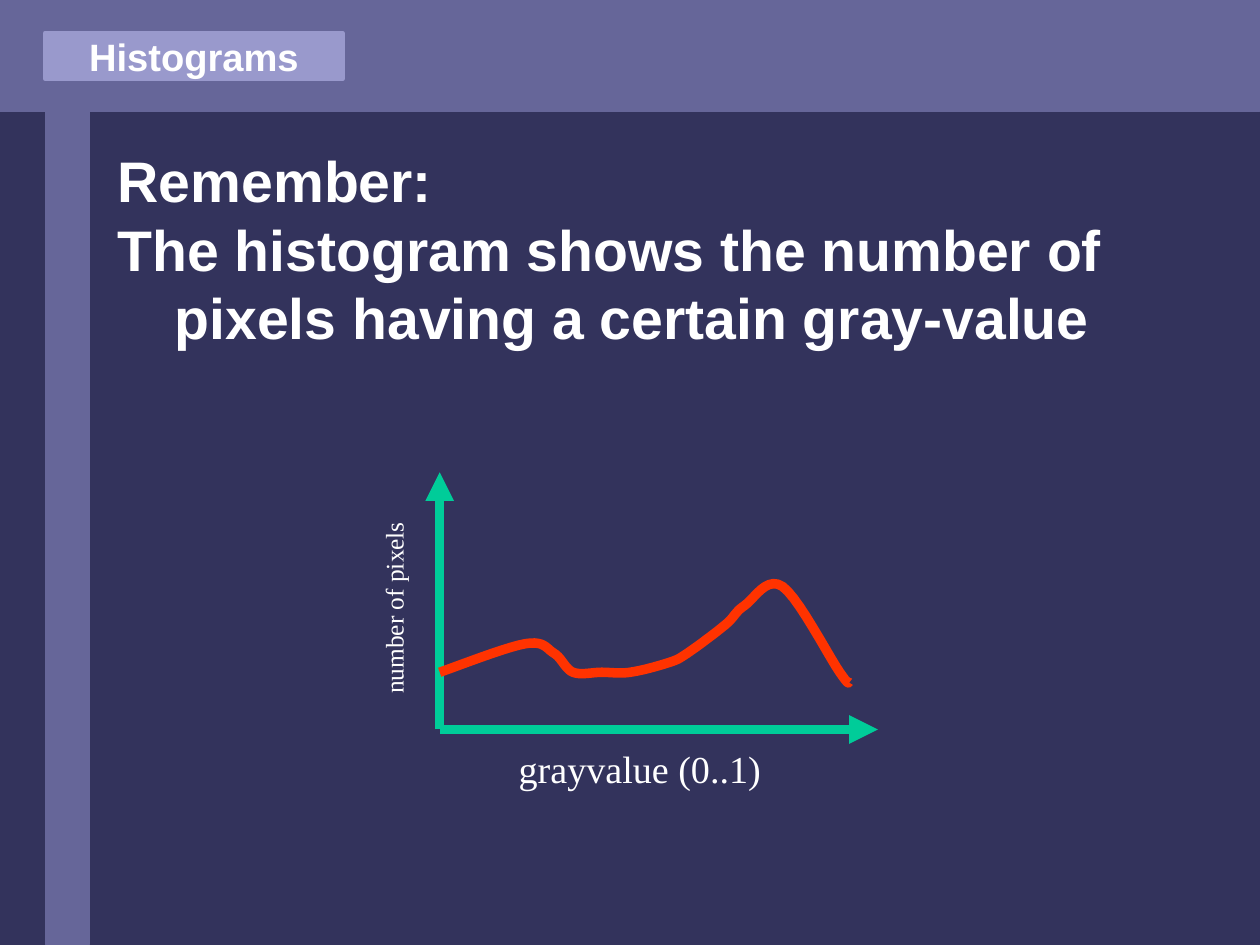
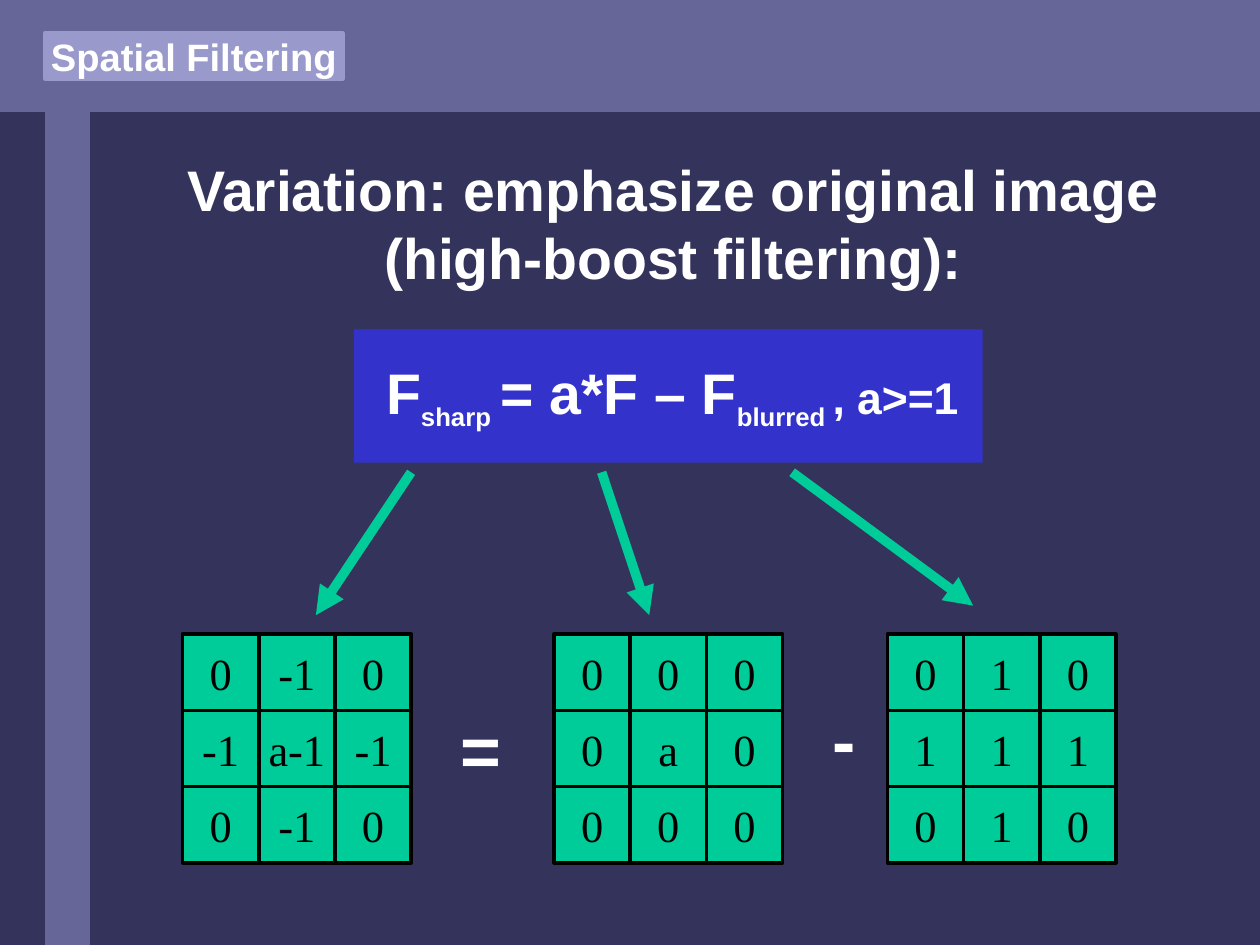
from lxml import etree
from pptx import Presentation
from pptx.dml.color import RGBColor
from pptx.enum.shapes import MSO_CONNECTOR, MSO_SHAPE
from pptx.enum.text import MSO_ANCHOR, PP_ALIGN
from pptx.oxml.ns import qn
from pptx.util import Pt

RECT, STRAIGHT = MSO_SHAPE.RECTANGLE, MSO_CONNECTOR.STRAIGHT
TOP, MIDDLE = MSO_ANCHOR.TOP, MSO_ANCHOR.MIDDLE
LEFT, CENTER = PP_ALIGN.LEFT, PP_ALIGN.CENTER

SLIDE_W, SLIDE_H = 793.7, 595.28
NAVY, SLATE, LILAC = "33335C", "666699", "9999CC"
GREEN, BLUE, ORANGE = "00CC99", "3333CC", "FF3300"
WHITE, BLACK = "FFFFFF", "000000"
SANS, SERIF = "Arial", "Times New Roman"
INSETS = (7.2, 3.6, 7.2, 3.6)
CELL = 48
CURVE = [(0, 36), (54, 54), (72, 48), (84, 36), (102, 36), (120, 36), (144, 42),
         (156, 48), (180, 66), (192, 78), (216, 90), (252, 36), (258, 29.5)]


def rgb(value):
    return RGBColor.from_string(value)


def style(run, size, font=SANS, color=WHITE):
    """Sans text is bold throughout, serif text is regular."""
    run.font.size, run.font.name, run.font.bold = Pt(size), font, font == SANS
    run.font.color.rgb = rgb(color)


def set_frame(frame, anchor=TOP, wrap=False, insets=INSETS):
    frame.word_wrap, frame.vertical_anchor = wrap, anchor
    (frame.margin_left, frame.margin_top,
     frame.margin_right, frame.margin_bottom) = map(Pt, insets)


def set_text(shape, text, size, font=SANS, color=WHITE, align=CENTER):
    shape.text_frame.text = text
    for paragraph in shape.text_frame.paragraphs:
        paragraph.alignment = align
        for run in paragraph.runs:
            style(run, size, font, color)


def add_box(slide, box, fill, line=None, weight=0.75):
    shape = slide.shapes.add_shape(RECT, *map(Pt, box))
    shape.shadow.inherit = False
    shape.fill.solid()
    shape.fill.fore_color.rgb = rgb(fill)
    if line:
        shape.line.color.rgb = rgb(line)
        shape.line.width = Pt(weight)
    else:
        shape.line.fill.background()
    return shape


def add_label(slide, box, text, size, font=SANS):
    label = slide.shapes.add_textbox(*map(Pt, box))
    set_frame(label.text_frame)
    set_text(label, text, size, font)
    return label


def add_arrow(slide, start, end):
    arrow = slide.shapes.add_connector(STRAIGHT, *map(Pt, (*start, *end)))
    arrow.line.color.rgb = rgb(GREEN)
    arrow.line.width = Pt(6)
    etree.SubElement(arrow.line._get_or_add_ln(), qn("a:tailEnd"), type="triangle")
    etree.SubElement(arrow._element.spPr, qn("a:effectLst"))


def add_framed_slide(prs, topic):
    """Blank slide with the background, both bands and the topic tag."""
    slide = prs.slides.add_slide(prs.slide_layouts[6])
    slide.background.fill.solid()
    slide.background.fill.fore_color.rgb = rgb(NAVY)
    add_box(slide, (0, 0, SLIDE_W, 70.3), SLATE, SLATE)
    add_box(slide, (28.7, 55.4, 27.5, SLIDE_H - 55.4), SLATE, SLATE)
    tag = add_box(slide, (28.3, 21, 187.7, 28.5), LILAC, LILAC, 2.83)
    set_frame(tag.text_frame, MIDDLE, insets=(0, 0, 0, 0))
    set_text(tag, topic, 24)
    return slide


def add_statement(slide, top, text, height, align, hanging=0):
    statement = slide.shapes.add_textbox(*map(Pt, (67, top, 714, height)))
    set_frame(statement.text_frame, wrap=True)
    set_text(statement, text, 36, align=align)
    for paragraph in statement.text_frame.paragraphs:
        paragraph.line_spacing = Pt(43.2)
        if hanging:
            properties = paragraph._p.get_or_add_pPr()
            properties.set("marL", str(Pt(hanging)))
            properties.set("indent", str(-Pt(hanging)))


def smooth(points, steps=10):
    """Catmull-Rom curve through the points."""
    padded = [points[0], *points, points[-1]]
    curve = [points[0]]
    for before, start, end, after in zip(padded, padded[1:], padded[2:], padded[3:]):
        for step in range(1, steps + 1):
            t = step / steps
            curve.append(tuple(
                b + t / 2 * (c - a + t * (2 * a - 5 * b + 4 * c - d
                                          + t * (3 * (b - c) + d - a)))
                for a, b, c, d in zip(before, start, end, after)))
    return curve


def add_histogram(slide, left, top, width, height):
    base = top + height
    add_arrow(slide, (left, base), (left, top))
    add_arrow(slide, (left, base), (left + width, base))
    count = add_label(slide, (left - 90, top + 72, 122.5, 27),
                      "number of pixels", 16, SERIF)
    count.rotation = 270
    add_label(slide, (left + 42.5, base + 6.5, 167, 36), "grayvalue (0..1)", 24, SERIF)

    start, *rest = [(Pt(left + x), Pt(base - y)) for x, y in smooth(CURVE)]
    builder = slide.shapes.build_freeform(*start)
    builder.add_line_segments(rest, close=False)
    curve = builder.convert_to_shape()
    curve.shadow.inherit = False
    curve.fill.background()
    curve.line.color.rgb = rgb(ORANGE)
    curve.line.width = Pt(6)


def add_formula(slide, box):
    panel = add_box(slide, box, BLUE)
    set_frame(panel.text_frame, MIDDLE, insets=(5, 1, 0, 0))
    paragraph = panel.text_frame.paragraphs[0]
    paragraph.alignment = CENTER
    for text, size, subscript in [("F", 36, False), ("sharp", 28, True), (" ", 36, True),
                                  ("= a*F – F", 36, False), ("blurred ", 28, True),
                                  (", a>=1", 28, False)]:
        run = paragraph.add_run()
        run.text = text
        style(run, size)
        if subscript:
            run._r.get_or_add_rPr().set("baseline", "-25000")


def add_kernel(slide, left, top, rows):
    for row, values in enumerate(rows):
        for column, value in enumerate(values.split()):
            cell = add_box(slide, (left + column * CELL, top + row * CELL, CELL, CELL),
                           GREEN, BLACK, 2.25)
            set_frame(cell.text_frame, MIDDLE)
            set_text(cell, value, 28, SERIF, BLACK)


def build_histogram_slide(prs):
    slide = add_framed_slide(prs, "Histograms")
    add_statement(slide, 88, "Remember:\nThe histogram shows the number of pixels "
                  "having a certain gray-value", 137, LEFT, hanging=36)
    add_histogram(slide, 277, 297.5, 276, 162)


def build_filter_slide(prs):
    slide = add_framed_slide(prs, "Spatial Filtering")
    add_statement(slide, 93.6, "Variation: emphasize original image\n"
                  "(high-boost filtering):", 94, CENTER)
    add_formula(slide, (223, 207.5, 396, 84))
    for left, rows in [(115, ("0 -1 0", "-1 a-1 -1", "0 -1 0")),
                       (349, ("0 0 0", "0 a 0", "0 0 0")),
                       (559, ("0 1 0", "1 1 1", "0 1 0"))]:
        add_kernel(slide, left, 399.5, rows)
    add_label(slide, (283, 441.5, 39.5, 60.5), "=", 44)
    add_label(slide, (517, 435.5, 29, 60.5), "-", 44)
    for start_x, end in [(259, (199, 387.5)), (379, (409, 387.5)), (499, (613, 381.5))]:
        add_arrow(slide, (start_x, 297.5), end)


def main():
    prs = Presentation()
    prs.slide_width, prs.slide_height = Pt(SLIDE_W), Pt(SLIDE_H)
    build_histogram_slide(prs)
    build_filter_slide(prs)
    prs.save("out.pptx")


if __name__ == "__main__":
    main()
